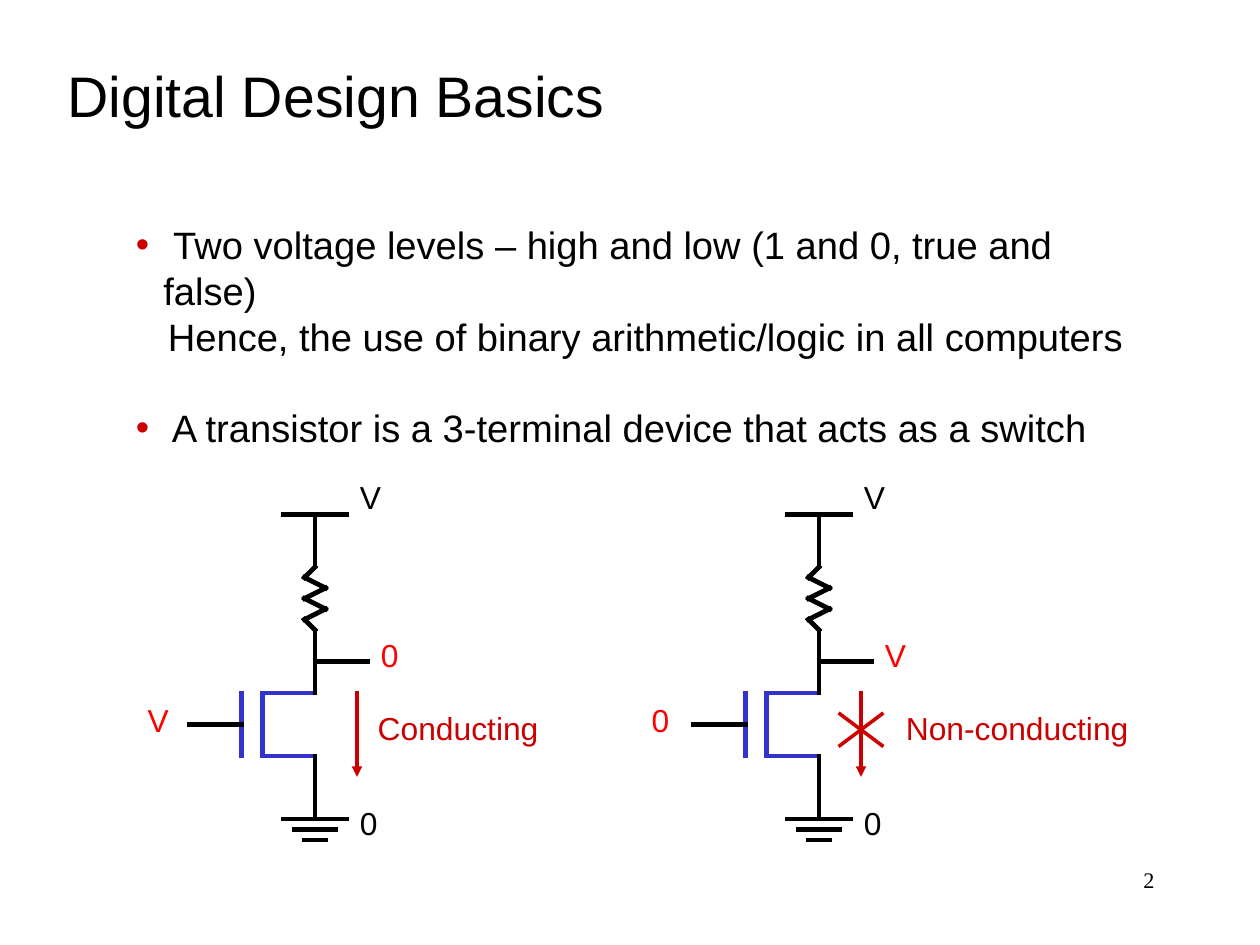
from itertools import pairwise

from lxml import etree
from pptx import Presentation
from pptx.dml.color import RGBColor
from pptx.enum.shapes import MSO_CONNECTOR
from pptx.enum.text import MSO_ANCHOR, MSO_AUTO_SIZE, PP_ALIGN
from pptx.oxml.ns import qn
from pptx.util import Cm, Inches, Pt

STRAIGHT = MSO_CONNECTOR.STRAIGHT
TOP = MSO_ANCHOR.TOP
NO_AUTOFIT = MSO_AUTO_SIZE.NONE
LEFT, RIGHT = PP_ALIGN.LEFT, PP_ALIGN.RIGHT
BLACK, BLUE, RED, CRIMSON = "000000", "3333CC", "FF0000", "CC0000"

deck = Presentation()
deck.slide_width, deck.slide_height = Cm(28), Cm(21)
UNIT = deck.slide_height / 90
slide = deck.slides.add_slide(deck.slide_layouts[5])


def write(box, lines, size, color=BLACK, font="Arial", align=LEFT, wrap=False):
    frame = box.text_frame
    frame.text = "\n".join(lines)
    frame.word_wrap = wrap
    frame.auto_size = NO_AUTOFIT
    frame.vertical_anchor = TOP
    for paragraph in frame.paragraphs:
        paragraph.alignment = align
        for run in paragraph.runs:
            run.font.name = font
            run.font.size = Pt(size)
            run.font.color.rgb = RGBColor.from_string(color)
    return frame.paragraphs


def wire(start, end, color=BLACK, width=3, arrow=False):
    ends = [round(UNIT * step) for step in (*start, *end)]
    line = slide.shapes.add_connector(STRAIGHT, *ends)
    line.line.color.rgb = RGBColor.from_string(color)
    line.line.width = Pt(width)
    stroke = line._element.spPr.find(qn("a:ln"))
    stroke.set("cap", "sq")
    if arrow:
        etree.SubElement(stroke, qn("a:tailEnd"), type="triangle")
    etree.SubElement(line._element.spPr, qn("a:effectLst"))


title = slide.shapes.title
title.left, title.top = Inches(0.49), Inches(0.48)
title.width, title.height = Inches(5.1), Inches(0.7)
write(title, ["Digital Design Basics"], 36)

page_number = slide.shapes.add_textbox(Inches(7.9), Inches(7.53), Inches(2.3), Inches(0.55))
write(page_number, ["2"], 14, font="Times New Roman", align=RIGHT, wrap=True)

facts = slide.shapes.add_textbox(Inches(1.09), Inches(1.89), Inches(9.02), Inches(1.7))
voltage, hence, transistor = write(facts, [
    " Two voltage levels – high and low (1 and 0, true and false)",
    "Hence, the use of binary arithmetic/logic in all computers",
    " A transistor is a 3-terminal device that acts as a switch",
], 24, wrap=True)
transistor.space_before = Pt(28.8)
hence._p.get_or_add_pPr().set("marL", str(Inches(0.28)))
for fact in (voltage, transistor):
    props = fact._p.get_or_add_pPr()
    props.set("marL", str(Inches(0.24)))
    props.set("indent", str(-Inches(0.24)))
    bullet_color = etree.SubElement(props, qn("a:buClr"))
    etree.SubElement(bullet_color, qn("a:srgbClr"), val=CRIMSON)
    etree.SubElement(props, qn("a:buFont"), typeface="Arial")
    etree.SubElement(props, qn("a:buChar"), char="•")

RESISTOR = [(0, 49), (0, 54), (-1, 55), (1, 56), (-1, 57), (1, 58), (-1, 59), (0, 60)]
CIRCUIT_WIRES = [
    (BLUE, (-5, 66), (-5, 72)),
    (BLUE, (0, 66), (-5, 66)),
    (BLUE, (0, 72), (-5, 72)),
    (BLUE, (-7, 66), (-7, 72)),
    (BLACK, (0, 60), (0, 66)),
    (BLACK, (0, 72), (0, 78)),
    (BLACK, (-7, 69), (-12, 69)),
    (BLACK, (5, 63), (0, 63)),
    (BLACK, (3, 49), (-3, 49)),
    (BLACK, (3, 78), (-3, 78)),
    (BLACK, (2, 79), (-2, 79)),
    (BLACK, (1, 80), (-1, 80)),
    *((BLACK, start, end) for start, end in pairwise(RESISTOR)),
]
LABEL_WIDTHS = {"V": 0.38, "0": 0.35, "Conducting": 1.61, "Non-conducting": 2.15}

circuits = [
    (30, "V", "0", "Conducting", 4.9),
    (78, "0", "V", "Non-conducting", 7.2),
]
for axis, gate, output, state, state_offset in circuits:
    for color, (x1, y1), (x2, y2) in CIRCUIT_WIRES:
        wire((axis + x1, y1), (axis + x2, y2), color)
    wire((axis + 4, 66), (axis + 4, 74), CRIMSON, 2.25, arrow=True)

    labels = [
        (gate, -17, 66.2, RED),
        ("V", 3.2, 45, BLACK),
        ("0", 3.2, 76, BLACK),
        (output, 5.2, 60, RED),
        (state, state_offset, 67, CRIMSON),
    ]
    for text, offset, row, color in labels:
        label = slide.shapes.add_textbox(
            round(UNIT * (axis + offset)), round(UNIT * row),
            Inches(LABEL_WIDTHS[text]), Inches(0.44))
        write(label, [text], 20, color)

blocked_axis = circuits[1][0]
for top, bottom in ((68, 71), (71, 68)):
    wire((blocked_axis + 2, top), (blocked_axis + 6, bottom), CRIMSON, 2.25)

deck.save("out.pptx")
